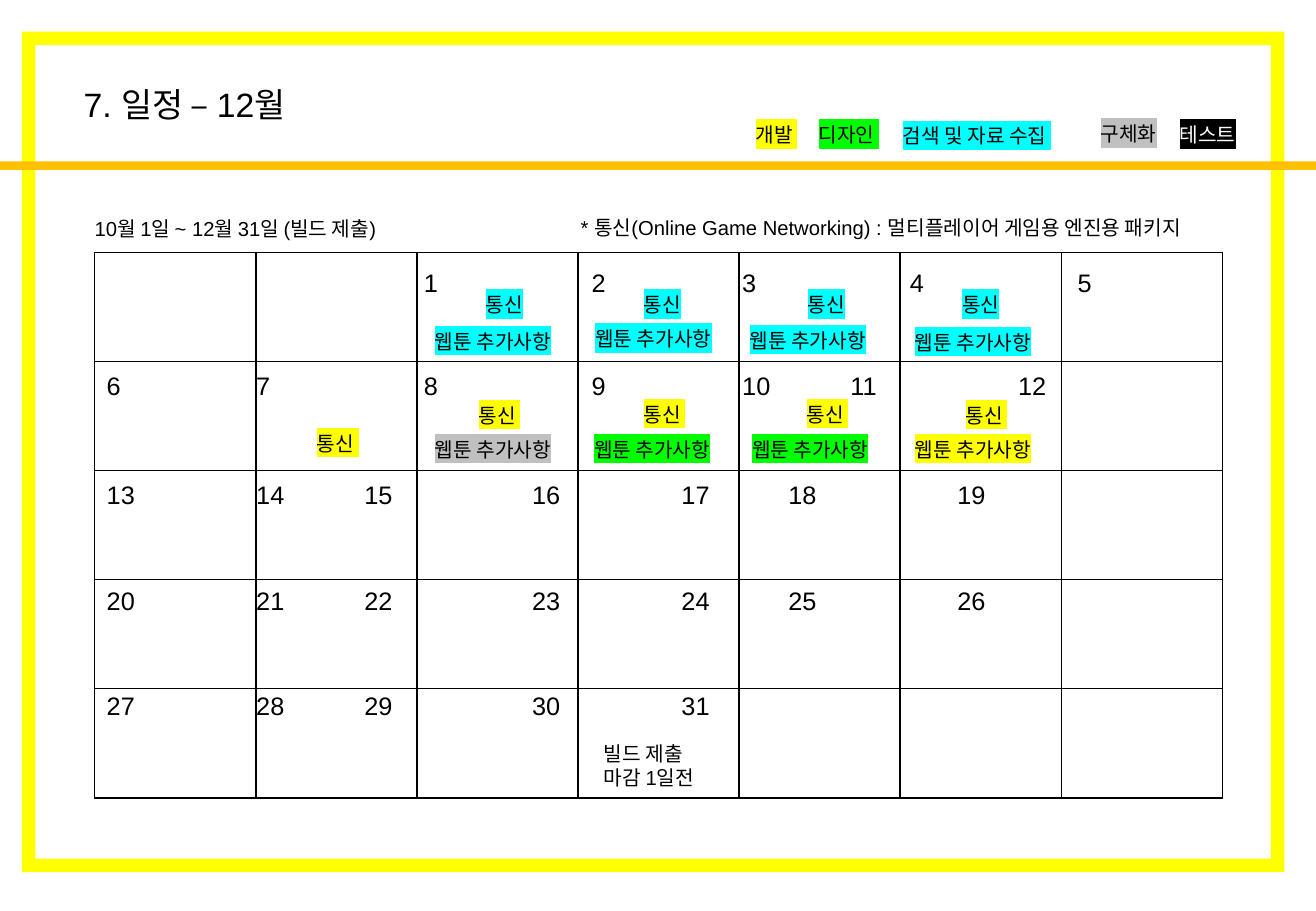
from lxml import etree
from pptx import Presentation
from pptx.dml.color import RGBColor
from pptx.enum import shapes, text
from pptx.oxml import ns
from pptx.util import Inches, Pt

BLACK = RGBColor(0, 0, 0)
WHITE = RGBColor(255, 255, 255)
YELLOW = RGBColor(255, 255, 0)
GREEN = RGBColor(0, 255, 0)
CYAN = RGBColor(0, 255, 255)
GRAY = RGBColor(192, 192, 192)
AMBER = RGBColor(255, 192, 0)
FONT = "Arial"

# Content: text, left, top, width, height, size
LABELS = [
    ("7. 일정 – 12월", 0.59, 0.64, 6.38, 0.44, 20),
    ("10월 1일 ~ 12월 31일 (빌드 제출)", 0.68, 1.73, 4.29, 0.3, 12),
    ("* 통신(Online Game Networking) : 멀티플레이어 게임용 엔진용 패키지",
     4.68, 1.72, 5.66, 0.3, 12),
    ("빌드 제출\n마감 1일전", 4.87, 6.05, 1.55, 0.5, 12),
]
# Legend: text, left, top, width, highlight, font colour
LEGEND = [
    ("개발 ", 6.12, 0.96, 0.76, YELLOW, BLACK),
    ("디자인 ", 6.64, 0.96, 0.76, GREEN, BLACK),
    ("검색 및 자료 수집 ", 7.33, 0.97, 1.69, CYAN, BLACK),
    ("구체화", 8.96, 0.95, 0.76, GRAY, BLACK),
    ("테스트", 9.61, 0.96, 0.76, BLACK, WHITE),
]
# Tasks: text, width, then (left, top, highlight) of each tag
TASKS = [
    ("통신", 0.62, [(3.9, 2.36, CYAN), (5.2, 2.36, CYAN),
                  (6.55, 2.36, CYAN), (7.82, 2.36, CYAN)]),
    ("통신 ", 0.76, [(2.51, 3.5, YELLOW), (3.84, 3.27, YELLOW), (5.2, 3.26, YELLOW),
                   (6.54, 3.26, YELLOW), (7.85, 3.27, YELLOW)]),
    ("웹툰 추가사항", 1.69, [(3.48, 2.66, CYAN), (4.8, 2.64, CYAN),
                       (6.07, 2.65, CYAN), (7.43, 2.67, CYAN),
                       (3.48, 3.55, GRAY), (4.79, 3.55, GREEN),
                       (6.09, 3.55, GREEN), (7.43, 3.55, YELLOW)]),
]
# Weeks: top, first day, last day, tab stop of each day (0 is the box edge)
LATE_STOPS = [0, 1.23, 2.12, 3.5, 4.73, 5.61, 7]
WEEKS = [
    (2.15, 1, 5, [2.61, 3.99, 5.23, 6.61, 7.99]),
    (3, 6, 12, [0, 1.23, 2.61, 3.99, 5.23, 6.12, 7.5]),
    (3.9, 13, 19, LATE_STOPS),
    (4.77, 20, 26, LATE_STOPS),
    (5.63, 27, 31, LATE_STOPS[:5]),
]
GRID_LEFT, GRID_TOP, GRID_WIDTH, GRID_HEIGHT = 0.78, 2.08, 9.28, 4.49
GRID_ROWS, GRID_COLUMNS = 5, 7


def add_solid_fill(parent, color):
    fill = etree.SubElement(parent, ns.qn("a:solidFill"))
    etree.SubElement(fill, ns.qn("a:srgbClr"), val=str(color))


def add_text(page, content, left, top, width, height, size,
             color=BLACK, highlight=None, stops=()):
    box = page.shapes.add_textbox(Inches(left), Inches(top), Inches(width), Inches(height))
    frame = box.text_frame
    frame.word_wrap = True
    frame.auto_size = text.MSO_AUTO_SIZE.NONE
    frame.text = content
    for para in frame.paragraphs:
        if stops:
            tabs = etree.SubElement(para._p.get_or_add_pPr(), ns.qn("a:tabLst"))
            for stop in stops:
                etree.SubElement(tabs, ns.qn("a:tab"), pos=str(Inches(stop)), algn="l")
        for span in para.runs:
            span.font.size = Pt(size)
            span.font.color.rgb = color
            if highlight is not None:
                mark = etree.SubElement(span.font._element, ns.qn("a:highlight"))
                etree.SubElement(mark, ns.qn("a:srgbClr"), val=str(highlight))
            span.font.name = FONT


def add_block(page, kind, left, top, width, height, color):
    block = page.shapes.add_shape(
        kind, Inches(left), Inches(top), Inches(width), Inches(height))
    block.shadow.inherit = False
    block.fill.solid()
    block.fill.fore_color.rgb = color
    block.line.fill.background()
    return block


def add_calendar_grid(page):
    grid = page.shapes.add_table(
        GRID_ROWS, GRID_COLUMNS, Inches(GRID_LEFT), Inches(GRID_TOP),
        Inches(GRID_WIDTH), Inches(GRID_HEIGHT)).table
    grid.first_row = grid.horz_banding = False
    for column in grid.columns:
        column.width = Inches(GRID_WIDTH / GRID_COLUMNS)
    for row in grid.rows:
        row.height = Inches(GRID_HEIGHT / GRID_ROWS)
    for cell in grid.iter_cells():
        properties = cell._tc.get_or_add_tcPr()
        for side in ("a:lnL", "a:lnR", "a:lnT", "a:lnB"):
            border = etree.SubElement(properties, ns.qn(side), w=str(Pt(1)))
            add_solid_fill(border, BLACK)
        cell.fill.background()


def main():
    deck = Presentation()
    deck.slide_width, deck.slide_height = Inches(10.83), Inches(7.5)
    page = deck.slides.add_slide(deck.slide_layouts[6])

    # Calendar grid and page frame
    add_calendar_grid(page)
    border = add_block(page, shapes.MSO_SHAPE.FRAME, 0.18, 0.26, 10.39, 6.92, YELLOW)
    border.adjustments[0] = 0.016

    # Day numbers
    for top, first, last, stops in WEEKS:
        days = "\t".join(str(day) for day in range(first, last + 1))
        if stops[0] > 0:
            days = "\t" + days
        add_text(page, days, 0.78, top, 9.31, 0.61, 15,
                 stops=[stop for stop in stops if stop > 0])

    # Title rule, labels and legend
    add_block(page, shapes.MSO_SHAPE.RECTANGLE, 0, 1.33, 10.83, 0.07, AMBER)
    for label in LABELS:
        add_text(page, *label)
    for name, left, top, width, highlight, color in LEGEND:
        add_text(page, name, left, top, width, 0.3, 12, color, highlight)

    # Task tags
    for name, width, tags in TASKS:
        for left, top, highlight in tags:
            add_text(page, name, left, top, width, 0.3, 12, highlight=highlight)

    deck.save("out.pptx")


if __name__ == "__main__":
    main()
